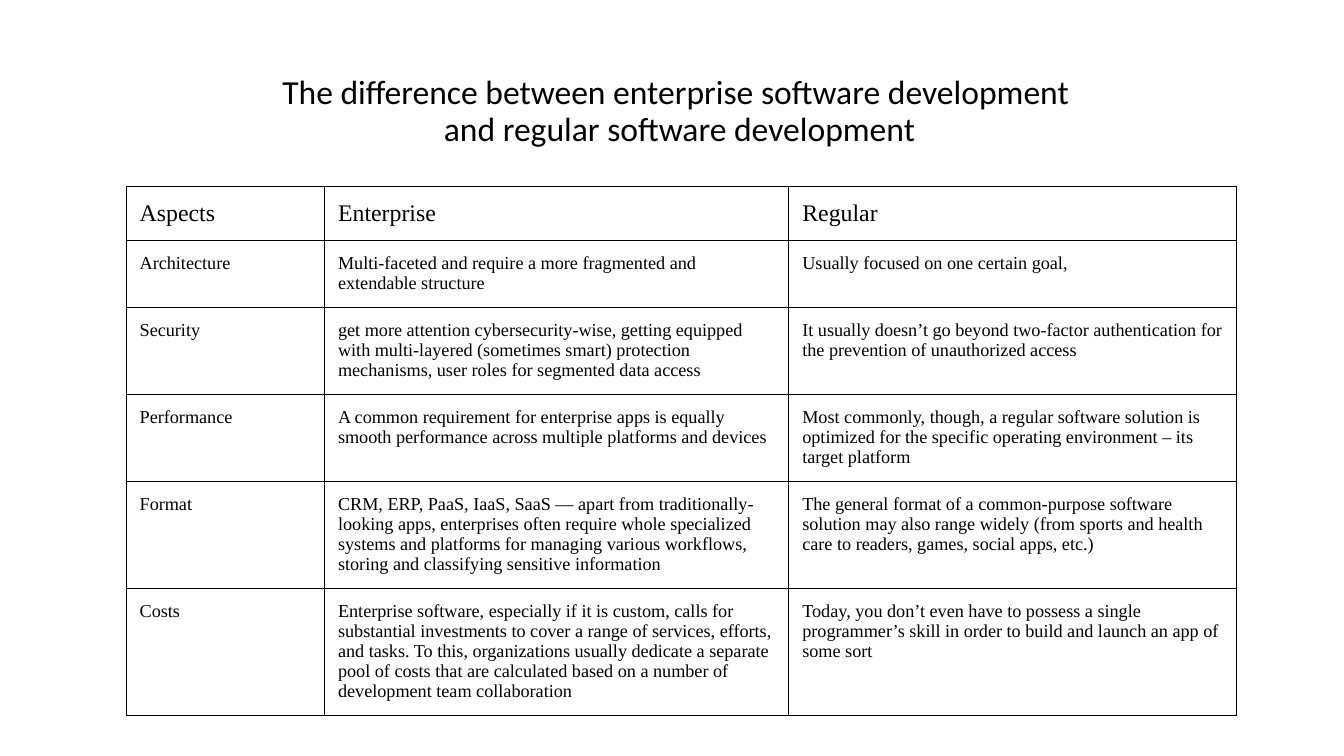
"""Build a slide with a table that compares enterprise and regular software."""
from lxml import etree
from pptx import Presentation
from pptx.dml.color import RGBColor
from pptx.enum.text import MSO_ANCHOR, MSO_AUTO_SIZE, PP_ALIGN
from pptx.oxml.ns import qn
from pptx.util import Cm, Pt

TOP = MSO_ANCHOR.TOP
FIXED = MSO_AUTO_SIZE.NONE
CENTER = PP_ALIGN.CENTER
TITLE_ONLY = 5
INSET = Cm(0.34)
BLACK = "000000"

TITLE = ["The difference between enterprise software development ",
         "and regular software development"]
WIDTHS = [5, 11.7, 11.28]
HEIGHTS = [1.24, 1.6, 2.11, 2.11, 2.62, 3.15]
ROWS = [
    ("Aspects", "Enterprise", "Regular"),
    ("Architecture",
     "Multi-faceted and require a more fragmented and extendable structure",
     "Usually focused on one certain goal,"),
    ("Security",
     "get more attention cybersecurity-wise, getting equipped with "
     "multi-layered (sometimes smart) protection mechanisms, user roles "
     "for segmented data access",
     "It usually doesn’t go beyond two-factor authentication for the "
     "prevention of unauthorized access"),
    ("Performance",
     "A common requirement for enterprise apps is equally smooth "
     "performance across multiple platforms and devices",
     "Most commonly, though, a regular software solution is optimized for "
     "the specific operating environment – its target platform"),
    ("Format",
     "CRM, ERP, PaaS, IaaS, SaaS — apart from traditionally-looking apps, "
     "enterprises often require whole specialized systems and platforms for "
     "managing various workflows, storing and classifying sensitive "
     "information",
     "The general format of a common-purpose software solution may also "
     "range widely (from sports and health care to readers, games, social "
     "apps, etc.)"),
    ("Costs",
     "Enterprise software, especially if it is custom, calls for substantial "
     "investments to cover a range of services, efforts, and tasks. To this, "
     "organizations usually dedicate a separate pool of costs that are "
     "calculated based on a number of development team collaboration",
     "Today, you don’t even have to possess a single programmer’s skill in "
     "order to build and launch an app of some sort"),
]


def add_run(para, text, face, size, color):
    run = para.add_run()
    run.text = text
    run.font.name = face
    run.font.size = Pt(size)
    run.font.bold = False
    run.font.color.rgb = RGBColor.from_string(color)


def add_edges(cell, color):
    props = cell._tc.get_or_add_tcPr()
    for spot, side in enumerate(("a:lnL", "a:lnR", "a:lnT", "a:lnB")):
        line = etree.Element(qn(side), w=str(Pt(0.75)))
        fill = etree.SubElement(line, qn("a:solidFill"))
        etree.SubElement(fill, qn("a:srgbClr"), val=color)
        props.insert(spot, line)


deck = Presentation()
deck.slide_width, deck.slide_height = Cm(33.87), Cm(19.05)
slide = deck.slides.add_slide(deck.slide_layouts[TITLE_ONLY])

title = slide.shapes.title
title.left, title.top = Cm(4.5), Cm(1.57)
title.width, title.height = Cm(25.25), Cm(2.26)
frame = title.text_frame
frame.word_wrap = True
frame.auto_size = FIXED
frame.vertical_anchor = TOP
frame.margin_left = frame.margin_right = INSET
frame.margin_top = frame.margin_bottom = INSET
para = frame.paragraphs[0]
para.alignment = CENTER
para.line_spacing = 0.9
for num, text in enumerate(TITLE):
    if num:
        para.add_line_break()
    add_run(para, text, "Calibri", 24, BLACK)

table = slide.shapes.add_table(
    len(ROWS), len(WIDTHS), Cm(3.18), Cm(4.7),
    Cm(sum(WIDTHS)), Cm(sum(HEIGHTS))).table
table.first_row = False
table.horz_banding = False
for col, width in zip(table.columns, WIDTHS):
    col.width = Cm(width)
for num, (row, height, texts) in enumerate(zip(table.rows, HEIGHTS, ROWS)):
    row.height = Cm(height)
    for cell, text in zip(row.cells, texts):
        cell.margin_left = cell.margin_right = INSET
        cell.margin_top = cell.margin_bottom = INSET
        cell.vertical_anchor = TOP
        cell.fill.background()
        add_edges(cell, BLACK)
        size = 13 if num else 17
        add_run(cell.text_frame.paragraphs[0], text,
                "Times New Roman", size, BLACK)

deck.save("out.pptx")
